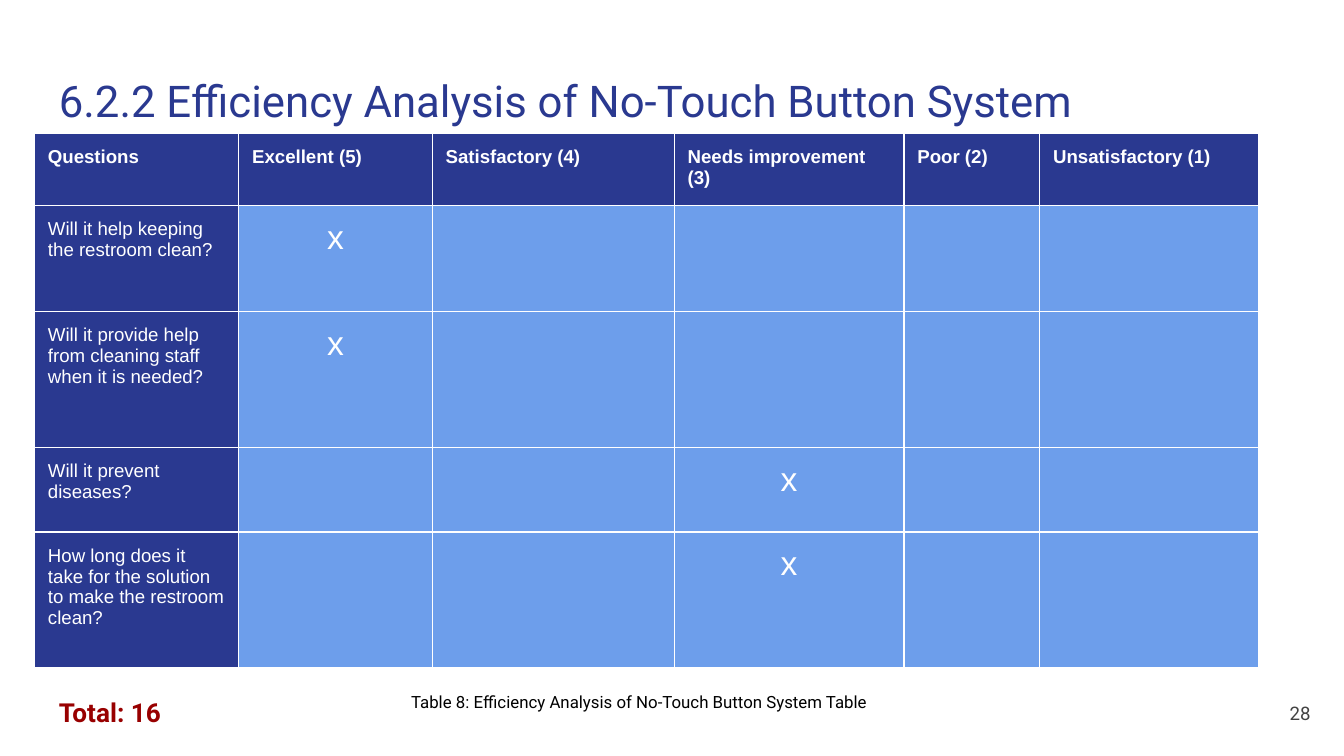
import pptx
import pptx.dml.color
import pptx.enum.text
import pptx.oxml
import pptx.oxml.ns
import pptx.util

COLORS = {
    "navy": "2A3990", "sky": "6D9EEB", "white": "FFFFFF",
    "gray": "434343", "red": "980000", "black": "000000",
}
GRID_COLUMNS, GRID_ROWS = 100, 56.25
ALIGN = pptx.enum.text.PP_ALIGN
ANCHOR = pptx.enum.text.MSO_ANCHOR

HEADERS = ["Questions", "Excellent (5)", "Satisfactory (4)",
           "Needs improvement (3)", "Poor (2)", "Unsatisfactory (1)"]
COLUMN_WIDTHS = [15.2, 14.4, 18, 17.1, 10.1, 16.3]
HEADER_HEIGHT = 5.25
QUESTIONS = [
    ("Will it help keeping the restroom clean?", 5, 7.9),
    ("Will it provide help from cleaning staff when it is needed?", 5, 10.1),
    ("Will it prevent diseases?", 3, 6.3),
    ("How long does it take for the solution to make the restroom clean?", 3, 10.1),
]


class SlideBuilder:
    """Draws styled elements on a slide measured in grid columns and rows."""

    def __init__(self, deck):
        self.deck = deck
        self.page = deck.slides.add_slide(deck.slide_layouts[6])
        self.inset = pptx.util.Inches(0.1)

    def across(self, columns):
        return round(self.deck.slide_width * columns / GRID_COLUMNS)

    def down(self, rows):
        return round(self.deck.slide_height * rows / GRID_ROWS)

    def color(self, name):
        return pptx.dml.color.RGBColor.from_string(COLORS[name])

    def style(self, para, size, color, font, bold=False, align=ALIGN.LEFT):
        para.alignment = align
        para.font.size = pptx.util.Pt(size)
        para.font.name = font
        para.font.bold = bold
        para.font.color.rgb = self.color(color)

    def text(self, content, left, top, width, height, size, color,
             bold=False, align=ALIGN.LEFT, anchor=ANCHOR.TOP):
        box = self.page.shapes.add_textbox(
            self.across(left), self.down(top), self.across(width), self.down(height))
        frame = box.text_frame
        frame.word_wrap = True
        frame.vertical_anchor = anchor
        frame.margin_left = frame.margin_right = self.inset
        frame.margin_top = frame.margin_bottom = self.inset
        para = frame.paragraphs[0]
        para.text = content
        self.style(para, size, color, "Roboto", bold, align)

    def borders(self, cell, color="white", width=0.75):
        properties = cell._tc.get_or_add_tcPr()
        for index, side in enumerate(("lnL", "lnR", "lnT", "lnB")):
            line = pptx.oxml.parse_xml(
                f'<a:{side} {pptx.oxml.ns.nsdecls("a")} w="{pptx.util.Pt(width)}">'
                f'<a:solidFill><a:srgbClr val="{COLORS[color]}"/></a:solidFill></a:{side}>')
            properties.insert(index, line)

    def cell(self, cell, content, fill, size, bold, align):
        cell.fill.solid()
        cell.fill.fore_color.rgb = self.color(fill)
        cell.margin_left = cell.margin_right = self.inset
        cell.margin_top = cell.margin_bottom = self.inset
        para = cell.text_frame.paragraphs[0]
        para.text = content
        self.style(para, size, "white", "Arial", bold, align)
        self.borders(cell)

    def rating_table(self, left, top):
        heights = [HEADER_HEIGHT] + [height for _, _, height in QUESTIONS]
        table = self.page.shapes.add_table(
            len(heights), len(HEADERS), self.across(left), self.down(top),
            self.across(sum(COLUMN_WIDTHS)), self.down(sum(heights))).table
        for column, width in zip(table.columns, COLUMN_WIDTHS):
            column.width = self.across(width)
        for row, height in zip(table.rows, heights):
            row.height = self.down(height)
        for column, header in enumerate(HEADERS):
            self.cell(table.cell(0, column), header, "navy", 10, True, ALIGN.LEFT)
        for row, (question, score, _) in enumerate(QUESTIONS, start=1):
            self.cell(table.cell(row, 0), question, "navy", 10, False, ALIGN.LEFT)
            for column in range(1, len(HEADERS)):
                mark = "x" if column == len(HEADERS) - score else ""
                self.cell(table.cell(row, column), mark, "sky", 18, False, ALIGN.CENTER)


def main():
    deck = pptx.Presentation()
    deck.slide_width = pptx.util.Inches(10)
    deck.slide_height = deck.slide_width * 9 // 16
    slide = SlideBuilder(deck)
    total = sum(score for _, score, _ in QUESTIONS)
    slide.text("6.2.2 Efficiency Analysis of No-Touch Button System",
               3.4, 4.5, 93.2, 6.6, 23.4, "navy")
    slide.text("28", 92.5, 50.9, 6, 4.3, 10, "gray",
               align=ALIGN.RIGHT, anchor=ANCHOR.MIDDLE)
    slide.rating_table(2.57, 9.95)
    slide.text(f"Total: {total}", 3.4, 50.85, 23.3, 4.4, 14, "red", bold=True)
    slide.text("Table 8: Efficiency Analysis of No-Touch Button System Table",
               29.6, 50.7, 43.1, 3.5, 9, "black")
    deck.save("out.pptx")


if __name__ == "__main__":
    main()
